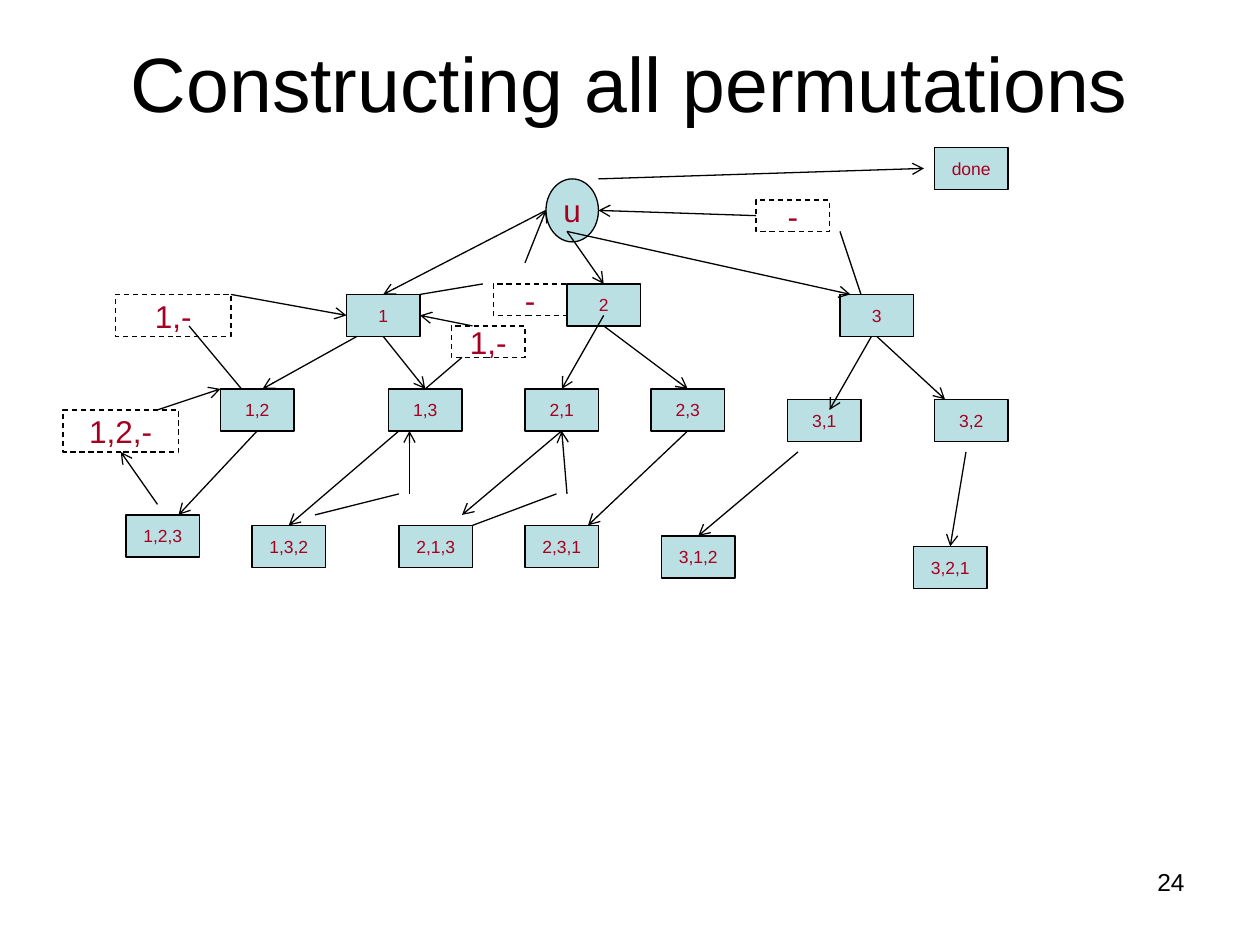
from lxml import etree
from pptx import Presentation
from pptx.dml.color import RGBColor
from pptx.enum.dml import MSO_LINE_DASH_STYLE as DASH
from pptx.enum.shapes import MSO_CONNECTOR as CONNECTOR, MSO_SHAPE as SHAPE
from pptx.enum.text import MSO_ANCHOR as ANCHOR, PP_ALIGN as ALIGN
from pptx.oxml.ns import qn
from pptx.util import Inches, Pt

COLORS = {"ink": "000000", "label": "A50021", "node": "BBE0E3"}
FONT = "Arial"
GRID = Inches(1) / 12
NODE_SIZE = (7, 4)
NODES = [
    ("1", 27, 14), ("2", 48, 13), ("3", 74, 14),
    ("1,2", 15, 23), ("1,3", 31, 23), ("2,1", 44, 23),
    ("2,3", 56, 23), ("3,1", 69, 24), ("3,2", 83, 24),
    ("1,2,3", 6, 35), ("1,3,2", 18, 36), ("2,1,3", 32, 36),
    ("2,3,1", 44, 36), ("3,1,2", 57, 37), ("3,2,1", 81, 38),
    ("done", 83, 0),
]
RETURN_LABELS = [
    ("1,-", 5, 14, 11, 4), ("1,2,-", 0, 25, 11, 4),
    ("1,-", 37, 17, 7, 3), ("-", 66, 5, 7, 3), ("-", 41, 13, 7, 3),
]
ARROWS = [
    (46, 6, 30.5, 14), (28, 18, 19, 23), (18.5, 27, 11, 35),
    (48, 8, 51.5, 13), (48, 8, 75, 14), (30.5, 18, 34.5, 23),
    (32, 27, 21.5, 36), (51.5, 16, 47.5, 23), (51.5, 17, 59.5, 23),
    (47.5, 27, 38, 35), (59.5, 27, 50, 36), (77, 18, 73, 25),
    (86, 29, 84.5, 38), (70, 29, 60.5, 37), (77.5, 18, 84, 24),
    (9, 34, 5.5, 29), (9, 25, 15, 23), (16, 14, 27, 16),
    (33, 33, 33, 27), (39, 17, 34, 16), (44, 11, 46, 6),
    (48, 33, 47.5, 27), (66, 6.5, 51, 6), (51, 3, 82, 2),
]
PLAIN_LINES = [
    (17, 23, 12, 17), (24, 35, 32, 33), (34.5, 23, 38, 20),
    (34, 14, 40, 13), (39, 36, 47, 33), (76, 14, 74, 8),
]


def color(name):
    """Return the named palette colour."""
    return RGBColor.from_string(COLORS[name])


def write_text(shape, text, size, color_name, align=ALIGN.CENTER, anchor=ANCHOR.MIDDLE, wrap=False):
    """Write one formatted run into a shape."""
    frame = shape.text_frame
    frame.word_wrap = wrap
    frame.vertical_anchor = anchor
    paragraph = frame.paragraphs[0]
    paragraph.alignment = align
    run = paragraph.add_run()
    run.text = text
    run.font.name = FONT
    run.font.size = Pt(size)
    run.font.color.rgb = color(color_name)


def add_text(slide, box, text, size, align, anchor):
    """Add a wrapped text box filling the given box."""
    shape = slide.shapes.add_textbox(*(Inches(value) for value in box))
    write_text(shape, text, size, "ink", align, anchor, wrap=True)


def add_node(slide, box, text, size=10, kind=SHAPE.RECTANGLE, dashed=False):
    """Add a filled tree node or a dashed return label."""
    shape = slide.shapes.add_shape(kind, *box)
    shape.shadow.inherit = False
    shape.line.color.rgb = color("ink")
    shape.line.width = Pt(0.75)
    if dashed:
        shape.fill.background()
        shape.line.dash_style = DASH.DASH
    else:
        shape.fill.solid()
        shape.fill.fore_color.rgb = color("node")
    write_text(shape, text, size, "label")


def add_line(slide, ends, arrow):
    """Add a straight line with an optional arrowhead at its end."""
    line = slide.shapes.add_connector(CONNECTOR.STRAIGHT, *ends)
    line.line.color.rgb = color("ink")
    line.line.width = Pt(0.75)
    properties = line.element.spPr
    if arrow:
        etree.SubElement(properties.find(qn("a:ln")), qn("a:tailEnd"), type="arrow")
    etree.SubElement(properties, qn("a:effectLst"))


def add_tree(slide, left, top):
    """Draw the permutation tree on a twelfth-inch grid from its corner."""
    def place(x, y):
        return round(left + x * GRID), round(top + y * GRID)

    def box(x, y, width, height):
        return (*place(x, y), round(width * GRID), round(height * GRID))

    add_node(slide, box(46, 3, 5, 6), "u", 18, SHAPE.OVAL)
    for text, x, y in NODES:
        add_node(slide, box(x, y, *NODE_SIZE), text)
    for text, *bounds in RETURN_LABELS:
        add_node(slide, box(*bounds), text, 18, dashed=True)
    for lines, arrow in ((ARROWS, True), (PLAIN_LINES, False)):
        for x1, y1, x2, y2 in lines:
            add_line(slide, place(x1, y1) + place(x2, y2), arrow)


def main():
    """Build and save the slide."""
    presentation = Presentation()
    presentation.slide_width = Inches(10)
    presentation.slide_height = Inches(7.5)
    slide = presentation.slides.add_slide(presentation.slide_layouts[6])
    add_text(slide, (0.5, 0.3, 9, 0.7), "Constructing all permutations", 44, ALIGN.CENTER, ANCHOR.MIDDLE)
    add_text(slide, (7.17, 6.83, 2.33, 0.52), "24", 14, ALIGN.RIGHT, ANCHOR.TOP)
    add_tree(slide, Inches(0.5), Inches(1.17))
    presentation.save("out.pptx")


if __name__ == "__main__":
    main()
